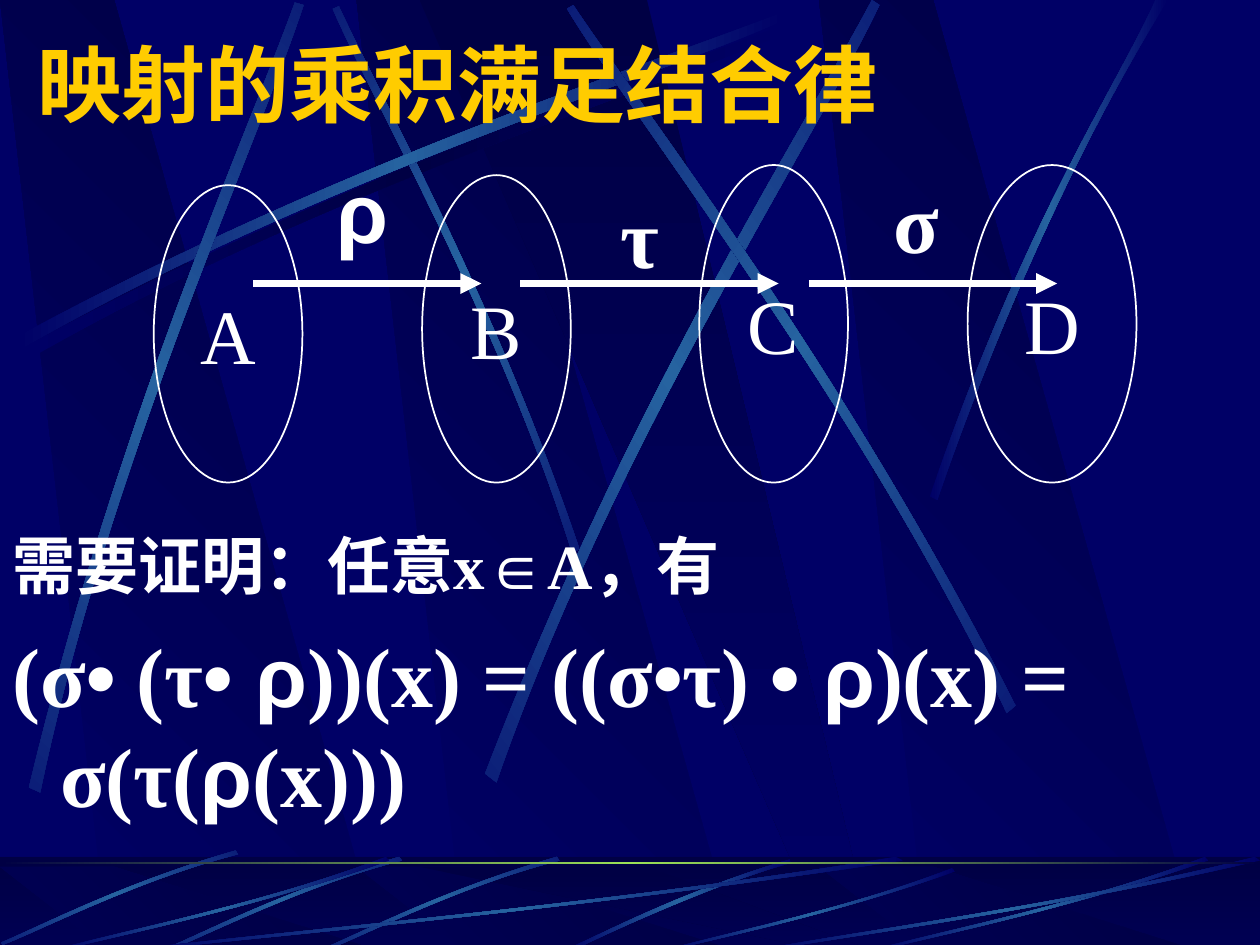
from copy import deepcopy
from dataclasses import dataclass
from itertools import cycle
from math import cos, radians, sin

from lxml import etree
from pptx import Presentation
from pptx.dml.color import RGBColor
from pptx.enum.shapes import MSO_CONNECTOR, MSO_SHAPE
from pptx.enum.text import MSO_ANCHOR, PP_ALIGN
from pptx.oxml.ns import qn
from pptx.util import Inches, Pt

Point = tuple[float, float]
Points = list[Point]

RECTANGLE, OVAL = MSO_SHAPE.RECTANGLE, MSO_SHAPE.OVAL
STRAIGHT = MSO_CONNECTOR.STRAIGHT
MIDDLE, CENTER, LEFT = MSO_ANCHOR.MIDDLE, PP_ALIGN.CENTER, PP_ALIGN.LEFT
NAVY = RGBColor(0x00, 0x00, 0x66)
MIDNIGHT = RGBColor(0x00, 0x00, 0x44)
STEEL = RGBColor(0x26, 0x63, 0xA0)
LIME = RGBColor(0x9C, 0xE1, 0x57)
GOLD = RGBColor(0xFF, 0xCC, 0x00)
WHITE = RGBColor(0xFF, 0xFF, 0xFF)
SERIF, SANS, DISPLAY = "Times New Roman", "Arial", "Montserrat"
GLOW = (NAVY, STEEL, NAVY)


@dataclass(frozen=True)
class Streak:
    outline: Points
    rotation: float = 0
    colors: tuple[RGBColor, ...] = GLOW


@dataclass(frozen=True)
class MappedSet:
    label: str
    left: float
    top: float
    width: float = 1.18


@dataclass(frozen=True)
class Mapping:
    symbol: str
    start: float
    end: float
    label_box: tuple[float, float, float, float]
    font: str = SERIF


BAND = [(0.285, 1), (1, 1), (0.3, 0), (0, 0)]
WEDGE = [(0, 0), (0.9, 1), (1, 1), (0.5, 0)]
SWEEP = [(1, 0.04), (0.57, 0.57), (0.17, 0.85), (0.01, 1),
         (0, 0.99), (0.17, 0.81), (0.62, 0.51), (0.99, 0)]
LONG_ARC = [(0.14, 2.67), (2.78, 1.25), (5.18, 0.51), (6.2, 0.1),
            (6.23, 0.16), (5.22, 0.61), (2.48, 1.43), (0.17, 2.77)]
FAN = [(4.42, 6.8), (3.55, 7.05), (2.87, 7.4), (2.56, 7.53),
       (2.57, 7.55), (2.88, 7.43), (3.65, 7.03), (4.44, 6.83)]


def placed(outline: Points, left: float, top: float, width: float = 1, height: float = 1) -> Points:
    return [(left + x * width, top + y * height) for x, y in outline]


UPPER_STREAKS = [
    Streak(placed(LONG_ARC, 0.06, 0.08), colors=(NAVY, MIDNIGHT, NAVY)),
    Streak([(4.6, 4.36), (3.91, 2.34), (3.02, 0.77), (2.69, 0.05),
            (2.64, 0.07), (2.95, 0.79), (3.98, 2.58), (4.54, 4.39)], 45),
    Streak(LONG_ARC),
    Streak([(0.23, 6.25), (0.93, 3.34), (1.97, 1.05), (2.34, 0.02),
            (2.41, 0.04), (2.07, 1.09), (0.86, 3.68), (0.32, 6.29)], 311.7),
    Streak([(3.85, 6.14), (4.98, 3.2), (6.38, 1.02), (6.92, 0),
            (6.98, 0.04), (6.49, 1.08), (4.86, 3.55), (3.94, 6.21)], 321.6),
    Streak([(8.06, 5.6), (6.7, 2.93), (5.16, 0.95), (4.55, 0.04),
            (4.5, 0.07), (5.07, 1.01), (6.85, 3.25), (7.99, 5.66)], 34.8),
    Streak([(7.38, 3.94), (8.14, 1.73), (8.88, 0.66), (9.17, 0),
            (9.27, 0), (8.36, 1.45), (7.69, 3.22), (7.44, 3.97)]),
]
FOOTER_STREAKS = [
    Streak([(6.27, 6.82), (5.37, 7.09), (4.77, 7.42), (4.48, 7.54),
            (4.53, 7.55), (4.9, 7.37), (5.71, 7), (6.28, 6.85)]),
    *(Streak(placed(FAN, dx, dy), 314.9) for dx, dy in ((0, 0), (-1.25, 0), (-2.55, -0.05))),
    *(Streak(placed(SWEEP, left, top, width, 7.55 - top)) for left, top, width in (
        (1, 6.8, 6.17), (0.42, 6.8, 2.67), (5.27, 6.89, 2.31), (6.92, 6.8, 2.67), (6, 6.8, 4))),
]
SETS = [MappedSet("A", 1.22, 1.47), MappedSet("B", 3.35, 1.39),
        MappedSet("C", 5.55, 1.31), MappedSet("D", 7.68, 1.31, 1.34)]
MAPPINGS = [Mapping("ρ", 2.01, 3.82, (2.56, 1.31, 0.63, 0.71), SANS),
            Mapping("τ", 4.13, 6.18, (4.6, 1.55, 0.95, 0.63)),
            Mapping("σ", 6.42, 8.39, (6.8, 1.31, 0.95, 0.87))]
SET_BOTTOM, ARROW_Y = 3.83, 2.25
EQUATION = ["(σ", "•", " (τ", "• ρ", "))(x) = ((σ", "•", "τ) ", "• ρ", ")(x) = σ(τ(", "ρ", "(x)))"]


def turned(point: Point, degrees: float) -> Point:
    x, y = point
    c, s = cos(radians(degrees)), sin(radians(degrees))
    return x * c - y * s, x * s + y * c


def paint_gradient(shape, colors: tuple[RGBColor, ...], angle: float) -> None:
    shape.shadow.inherit = False
    shape.line.fill.background()
    shape.fill.gradient()
    shape.fill.gradient_angle = (360 - angle) % 360
    stop_list = next(shape._element.iter(qn("a:gsLst")))
    for _ in colors[2:]:
        stop_list.append(deepcopy(stop_list[0]))
    for index, (stop, color) in enumerate(zip(shape.fill.gradient_stops, colors)):
        stop.color.rgb = color
        stop.position = index / (len(colors) - 1)


def draw_outline(shapes, outline: Points, colors: tuple[RGBColor, ...], angle: float = 0,
                 rotation: float = 0):
    corners = [tuple(map(Inches, turned(point, -rotation))) for point in outline]
    builder = shapes.build_freeform(*corners[0], scale=1.0)
    builder.add_line_segments(corners[1:], close=True)
    figure = builder.convert_to_shape()
    center = (figure.left + figure.width / 2, figure.top + figure.height / 2)
    x, y = turned(center, rotation)
    figure.left, figure.top = int(x - figure.width / 2), int(y - figure.height / 2)
    figure.rotation = rotation
    paint_gradient(figure, colors, angle)
    return figure


def draw_streak(shapes, streak: Streak) -> None:
    figure = draw_outline(shapes, streak.outline, streak.colors, rotation=streak.rotation)
    edges = list(figure._element.iter(qn("a:lnTo")))
    for side in (edges[:3], edges[4:7]):
        curve = etree.Element(qn("a:cubicBezTo"))
        side[0].addprevious(curve)
        for edge in side:
            curve.append(edge[0])
            edge.getparent().remove(edge)


def draw_bands(shapes, top: float, height: float) -> None:
    for left in (2.83, 0, 6.5):
        draw_outline(shapes, placed(BAND, left, top, 3.02, height), (NAVY, MIDNIGHT), 315)
    draw_outline(shapes, placed(WEDGE, 3.33, top, 3.61, height), (MIDNIGHT, NAVY), 90)


def add_bar(shapes, top: float, height: float):
    return shapes.add_shape(RECTANGLE, 0, Inches(top), Inches(10), Inches(height))


def draw_backdrop(shapes) -> None:
    draw_bands(shapes, 0, 7.52)
    for streak in UPPER_STREAKS:
        draw_streak(shapes, streak)
    paint_gradient(add_bar(shapes, 6.8, 0.75), (MIDNIGHT, NAVY), 90)
    draw_bands(shapes, 6.88, 0.67)
    veil = add_bar(shapes, 6.8, 0.75)
    veil.shadow.inherit = False
    veil.line.fill.background()
    veil.fill.solid()
    veil.fill.fore_color.rgb = MIDNIGHT
    tint = next(veil._element.spPr.iter(qn("a:srgbClr")))
    etree.SubElement(tint, qn("a:alpha")).set("val", "50000")
    for streak in FOOTER_STREAKS:
        draw_streak(shapes, streak)
    paint_gradient(add_bar(shapes, 6.84, 0.02), (MIDNIGHT, LIME, MIDNIGHT), 0)


def style(font, name: str, size: float, color: RGBColor = WHITE, bold: bool = True) -> None:
    font.name, font.size, font.bold = name, Pt(size), bold
    font.color.rgb = color


def write_label(shape, text: str, font: str, size: float, color: RGBColor = WHITE,
                bold: bool = True, wrap: bool = False, align=CENTER) -> None:
    frame = shape.text_frame
    frame.text = text
    frame.word_wrap, frame.vertical_anchor = wrap, MIDDLE
    frame.paragraphs[0].alignment = align
    style(frame.paragraphs[0].runs[0].font, font, size, color, bold)


def draw_proof(shapes) -> None:
    frame = shapes.add_textbox(0, Inches(4.13), Inches(9.67), Inches(2.54)).text_frame
    frame.word_wrap = True
    claim, equation = frame.paragraphs[0], frame.add_paragraph()
    claim.text = "需要证明：任意x∈A，有"
    style(claim.runs[0].font, SERIF, 36)
    equation.space_before = Pt(12)
    for text, font in zip(EQUATION, cycle((SERIF, SANS))):
        term = equation.add_run()
        term.text = text
        style(term.font, font, 48)
    for paragraph in (claim, equation):
        properties = paragraph._p.get_or_add_pPr()
        properties.set("marL", str(Inches(0.38)))
        properties.set("indent", str(-Inches(0.38)))


def draw_set(shapes, item: MappedSet) -> None:
    oval = shapes.add_shape(OVAL, Inches(item.left), Inches(item.top),
                            Inches(item.width), Inches(SET_BOTTOM - item.top))
    oval.shadow.inherit = False
    oval.fill.background()
    oval.line.color.rgb, oval.line.width = WHITE, Pt(1)
    write_label(oval, item.label, SERIF, 44, bold=False)


def draw_mapping(shapes, mapping: Mapping) -> None:
    arrow = shapes.add_connector(STRAIGHT, Inches(mapping.start), Inches(ARROW_Y),
                                 Inches(mapping.end), Inches(ARROW_Y))
    arrow.line.color.rgb, arrow.line.width = WHITE, Pt(4)
    etree.SubElement(arrow.line._get_or_add_ln(), qn("a:tailEnd")).set("type", "triangle")
    etree.SubElement(arrow._element.spPr, qn("a:effectLst"))
    symbol = shapes.add_textbox(*map(Inches, mapping.label_box))
    write_label(symbol, mapping.symbol, mapping.font, 48)


def main() -> None:
    deck = Presentation()
    deck.slide_width, deck.slide_height = Inches(10), Inches(7.5)
    slide = deck.slides.add_slide(deck.slide_layouts[6])
    slide.background.fill.solid()
    slide.background.fill.fore_color.rgb = NAVY
    draw_backdrop(slide.shapes)
    title = slide.shapes.add_textbox(Inches(0.2), Inches(0.21), Inches(8.5), Inches(0.9))
    write_label(title, "映射的乘积满足结合律", DISPLAY, 48, GOLD, wrap=True, align=LEFT)
    draw_proof(slide.shapes)
    for item in SETS:
        draw_set(slide.shapes, item)
    for mapping in MAPPINGS:
        draw_mapping(slide.shapes, mapping)
    deck.save("out.pptx")


if __name__ == "__main__":
    main()
